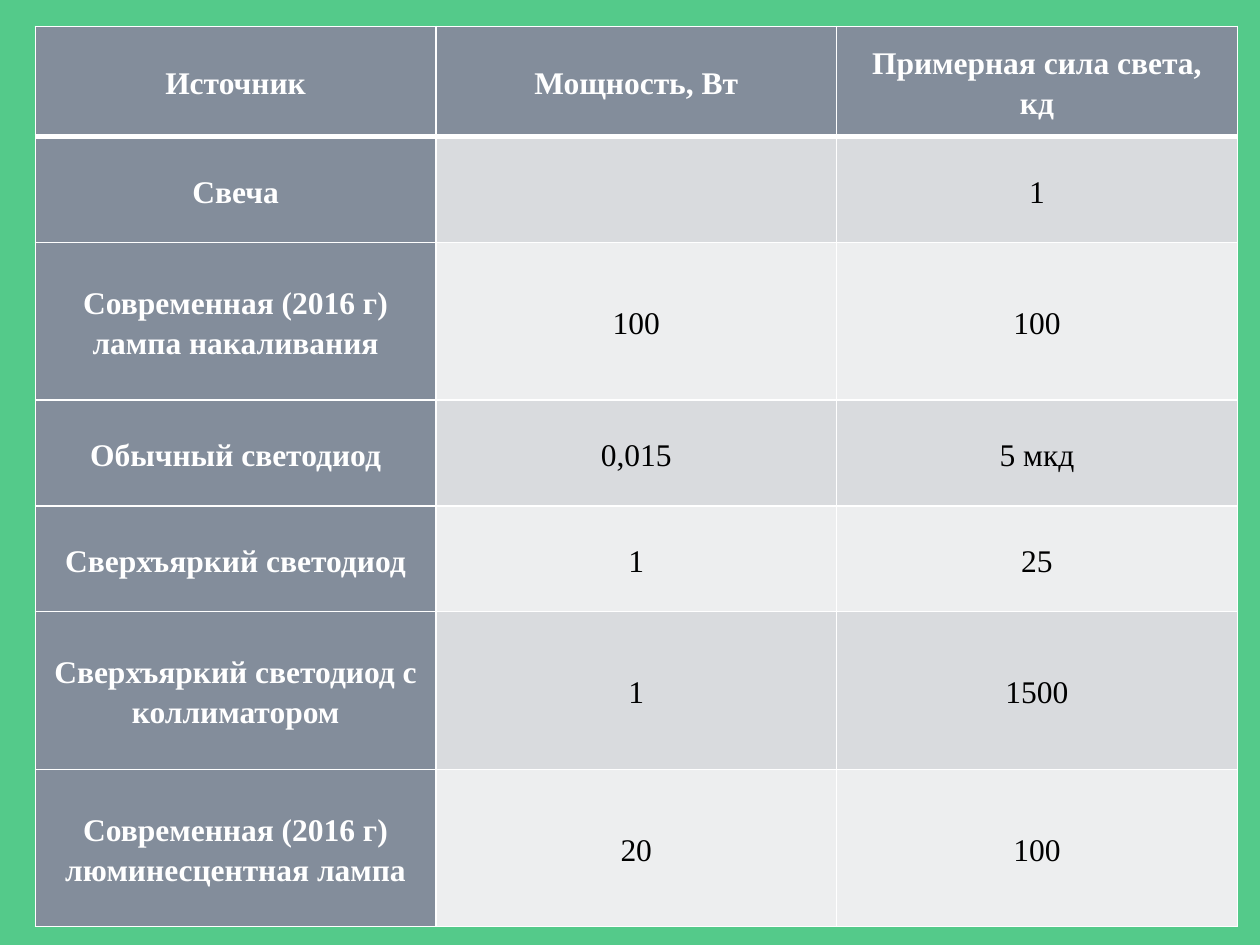
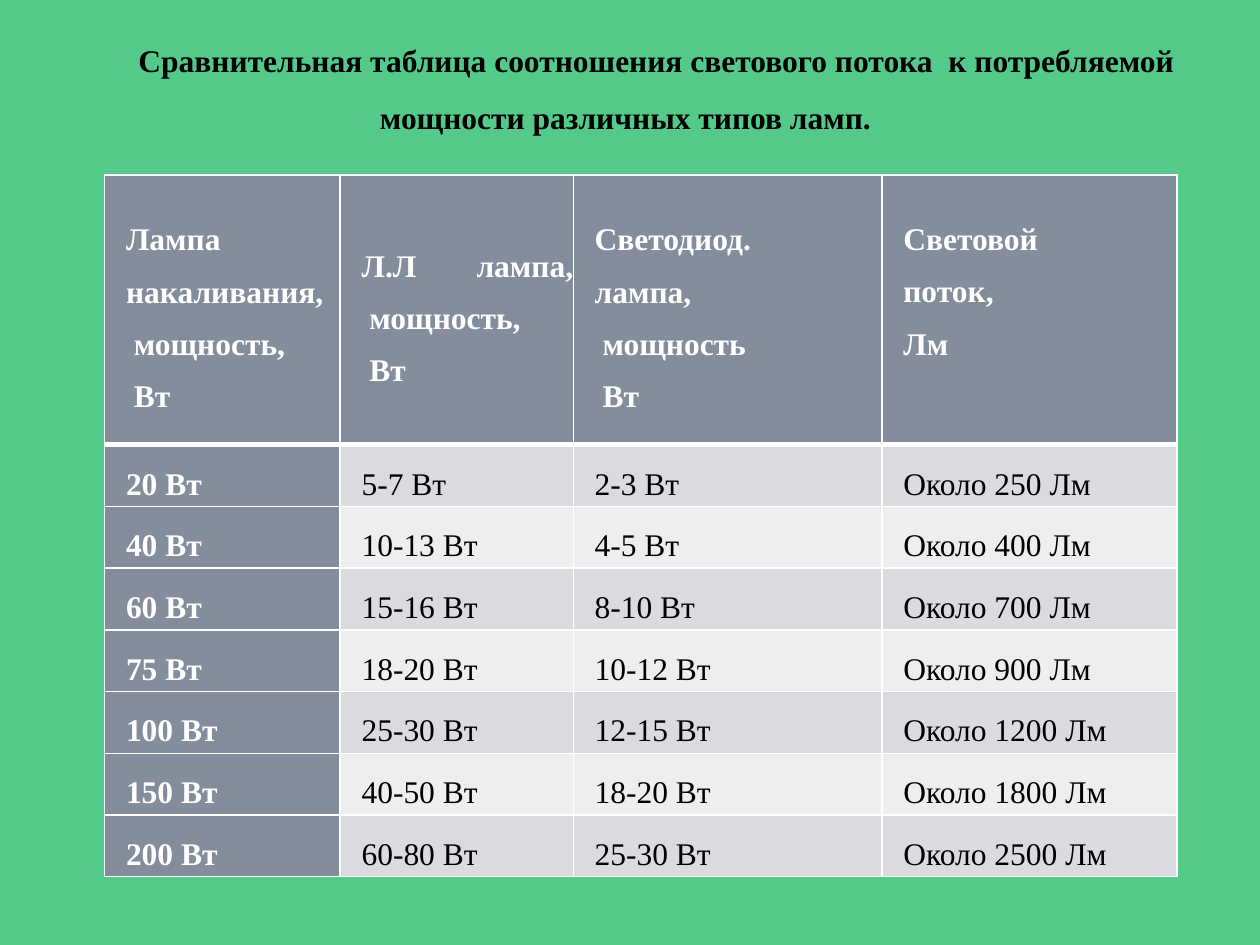
from dataclasses import dataclass
from pptx import Presentation
from pptx.dml.color import RGBColor
from pptx.enum.text import MSO_ANCHOR, MSO_AUTO_SIZE, PP_ALIGN
from pptx.oxml import parse_xml
from pptx.oxml.ns import nsdecls
from pptx.util import Inches, Pt

MIDDLE = MSO_ANCHOR.MIDDLE
GROW = MSO_AUTO_SIZE.SHAPE_TO_FIT_TEXT
CENTER, JUSTIFY = PP_ALIGN.CENTER, PP_ALIGN.JUSTIFY


@dataclass(frozen=True)
class Theme:
    back: str = "54CA8A"
    head: str = "838D9B"
    bands: tuple = ("D9DBDE", "EDEEEF")
    light: str = "FFFFFF"
    dark: str = "000000"
    font: str = "Times New Roman"
    size: int = 18
    thin: int = 1
    thick: int = 3


@dataclass(frozen=True)
class Look:
    """Text layout of a table's cells, lengths in inches."""
    align: PP_ALIGN
    space: float
    inset: float = 0
    left: float = 0


THEME = Theme()
LINE = 0.42  # height of one text line at 1.5 spacing

SOURCES = [
    ["Источник", "Мощность, Вт", "Примерная сила света, кд"],
    ["Свеча", "", "1"],
    ["Современная (2016 г) лампа накаливания", "100", "100"],
    ["Обычный светодиод", "0,015", "5 мкд"],
    ["Сверхъяркий светодиод", "1", "25"],
    ["Сверхъяркий светодиод с коллиматором", "1", "1500"],
    ["Современная (2016 г) люминесцентная лампа", "20", "100"],
]

# A list in a cell holds one paragraph per item
LAMPS = [
    [["Лампа", "накаливания,", " мощность,", " Вт"],
     ["Л.Л лампа,\n мощность,", " Вт"],
     ["Светодиод.", "лампа,", " мощность", " Вт"],
     ["Световой", "поток,", "Лм"]],
    ["20 Вт", "5-7 Вт", "2-3 Вт", "Около 250 Лм"],
    ["40 Вт", "10-13 Вт", "4-5 Вт", "Около 400 Лм"],
    ["60 Вт", "15-16 Вт", "8-10 Вт", "Около 700 Лм"],
    ["75 Вт", "18-20 Вт", "10-12 Вт", "Около 900 Лм"],
    ["100 Вт", "25-30 Вт", "12-15 Вт", "Около 1200 Лм"],
    ["150 Вт", "40-50 Вт", "18-20 Вт", "Около 1800 Лм"],
    ["200 Вт", "60-80 Вт", "25-30 Вт", "Около 2500 Лм"],
]


def add_slide(deck):
    slide = deck.slides.add_slide(deck.slide_layouts[6])
    fill = slide.background.fill
    fill.solid()
    fill.fore_color.rgb = RGBColor.from_string(THEME.back)
    return slide


def add_run(para, text, color, bold):
    run = para.add_run()
    run.text = text
    font = run.font
    font.name, font.size, font.bold = THEME.font, Pt(THEME.size), bold
    font.color.rgb = RGBColor.from_string(color)


def write(frame, texts, color, bold, look, first=0):
    """Fill a text frame; first is the first-line indent."""
    for i, text in enumerate(texts):
        para = frame.add_paragraph() if i else frame.paragraphs[0]
        props = para._p.get_or_add_pPr()
        props.set("marL", str(Inches(look.left)))
        props.set("indent", str(Inches(first)))
        para.alignment, para.line_spacing = look.align, look.space
        for n, line in enumerate(text.split("\n")):
            if n:
                para.add_line_break()
            add_run(para, line, color, bold)


def add_edges(cell, top, bottom):
    props = cell._tc.get_or_add_tcPr()
    widths = {"L": THEME.thin, "R": THEME.thin, "T": top, "B": bottom}
    for side, width in widths.items():
        props.append(parse_xml(
            f'<a:ln{side} {nsdecls("a")} w="{Pt(width)}"><a:solidFill>'
            f'<a:srgbClr val="{THEME.light}"/></a:solidFill></a:ln{side}>'))


def fill_cell(cell, row, col, value, look):
    head = row == 0 or col == 0
    add_edges(cell, THEME.thick if row == 1 else THEME.thin,
              THEME.thick if row == 0 else THEME.thin)
    cell.fill.solid()
    color = THEME.head if head else THEME.bands[(row - 1) % 2]
    cell.fill.fore_color.rgb = RGBColor.from_string(color)
    cell.vertical_anchor = MIDDLE
    cell.margin_left = cell.margin_right = Inches(look.inset)
    cell.margin_top = cell.margin_bottom = Inches(look.inset)
    if value:
        texts = value if isinstance(value, list) else [value]
        write(cell.text_frame, texts, THEME.light if head else THEME.dark,
              head, look)


def add_grid(slide, left, top, widths, heights, data, look):
    frame = slide.shapes.add_table(
        len(heights), len(widths), Inches(left), Inches(top),
        Inches(sum(widths)), Inches(sum(heights)))
    table = frame.table
    table.first_col = True
    for col, width in zip(table.columns, widths):
        col.width = Inches(width)
    for row, height in zip(table.rows, heights):
        row.height = Inches(height)
    for r, values in enumerate(data):
        for c, value in enumerate(values):
            fill_cell(table.cell(r, c), r, c, value, look)
    return table


def add_title(slide, text):
    box = slide.shapes.add_textbox(
        Inches(0.2), Inches(0.13), Inches(9.53), Inches(1.01))
    frame = box.text_frame
    frame.word_wrap, frame.auto_size = True, GROW
    write(frame, [text], THEME.dark, True, Look(CENTER, 1.5), first=0.49)


def main():
    deck = Presentation()
    deck.slide_width, deck.slide_height = Inches(10), Inches(7.5)

    # Luminous intensity of light sources
    slide = add_slide(deck)
    short, tall = 0.84, 1.25
    add_grid(slide, 0.28, 0.21, [3.18] * 3,
             [short, short, tall, short, short, tall, tall],
             SOURCES, Look(CENTER, 1.15, inset=0.12))

    # Luminous flux against power
    slide = add_slide(deck)
    add_title(slide, "Сравнительная таблица соотношения светового потока  к "
                     "потребляемой мощности различных типов ламп.")
    table = add_grid(slide, 0.83, 1.39, [1.87, 1.85, 2.45, 2.34],
                     [2.14] + [0.49] * 7, LAMPS,
                     Look(JUSTIFY, 1.5, left=0.17))
    # Level the three-line heading with its four-line neighbours
    table.cell(0, 3).margin_bottom = Inches(LINE)

    deck.save("out.pptx")


if __name__ == "__main__":
    main()
